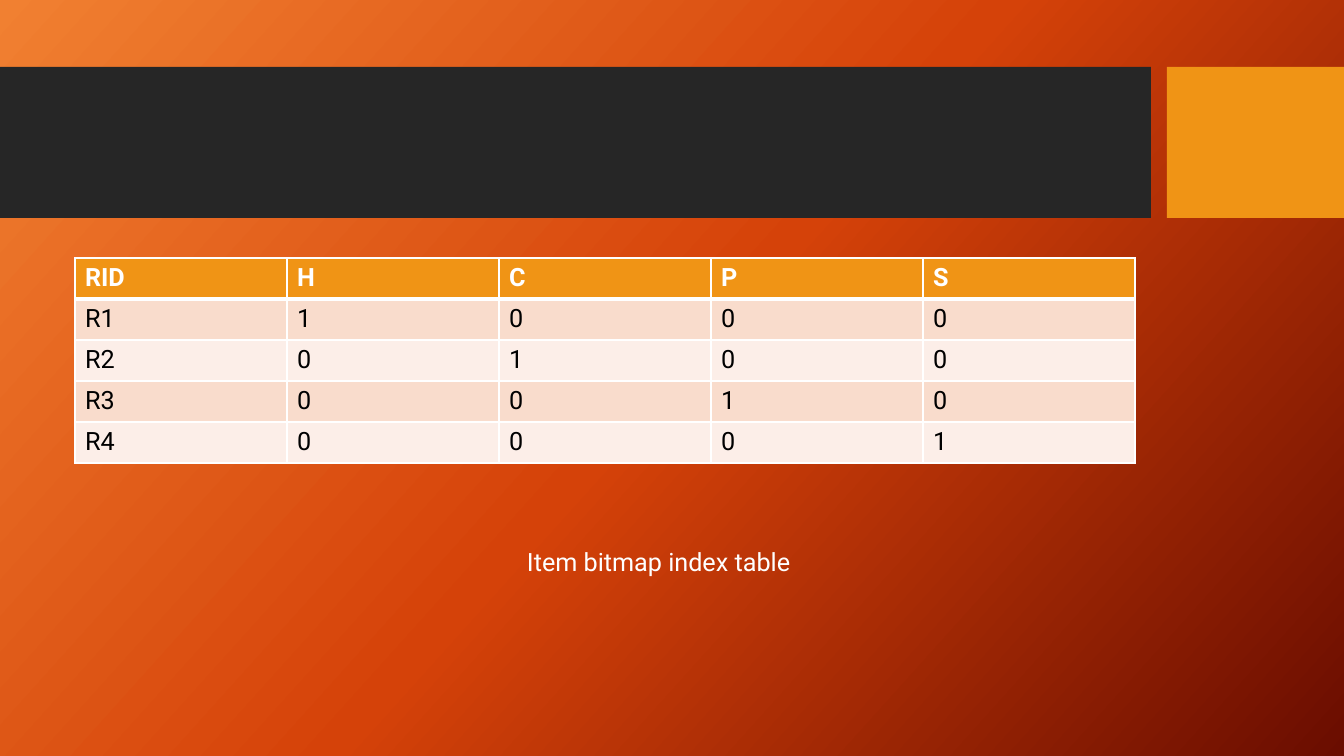
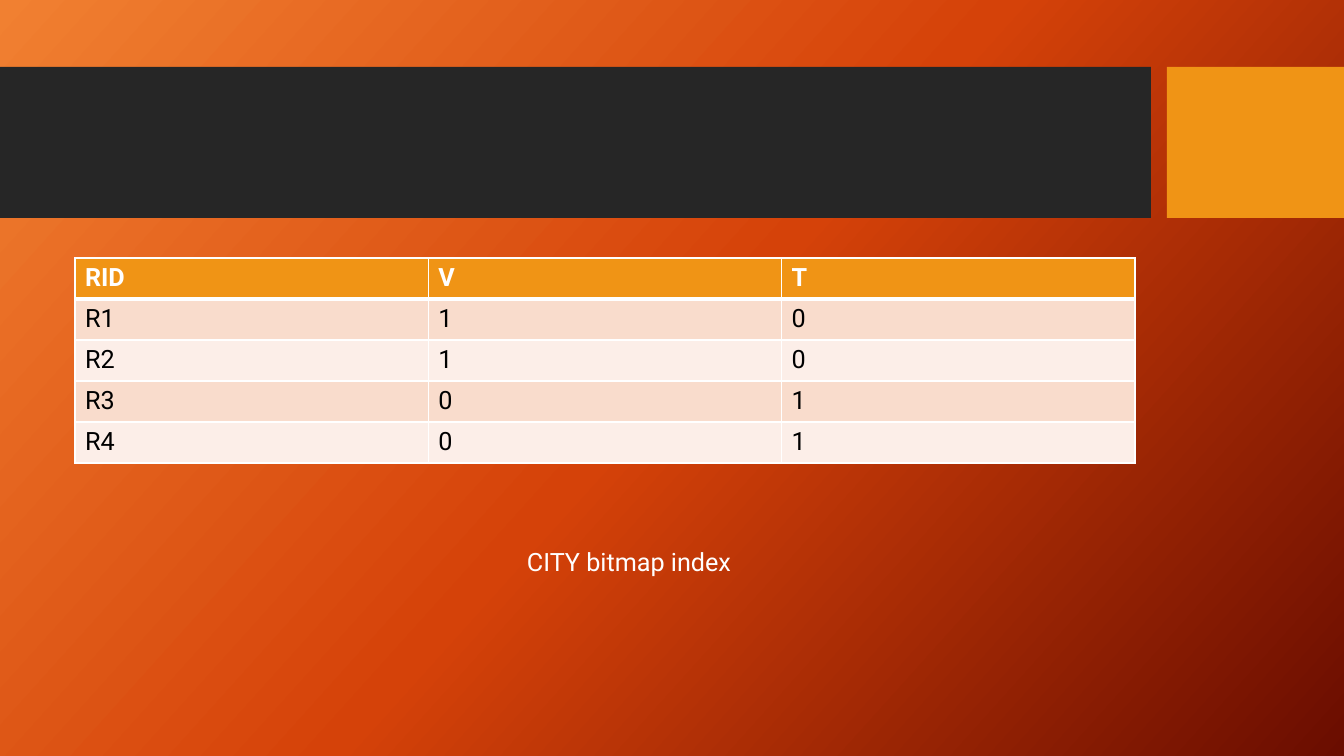
from copy import deepcopy

from lxml import etree
from pptx import Presentation
from pptx.dml.color import RGBColor
from pptx.enum.shapes import MSO_SHAPE
from pptx.enum.text import MSO_AUTO_SIZE
from pptx.oxml.ns import qn
from pptx.util import Emu, Pt

RECTANGLE = MSO_SHAPE.RECTANGLE
FIT_SHAPE = MSO_AUTO_SIZE.SHAPE_TO_FIT_TEXT

EMU_PER_PX = 914400 / 100.8
SLIDE_SIZE = (1344, 756)
BLANK_LAYOUT = 6

COLORS = {
    "glow": "F18031",
    "flame": "D54209",
    "ember": "6A0D00",
    "charcoal": "262626",
    "amber": "F09415",
    "peach": "F9DCCC",
    "blush": "FCEEE8",
    "white": "FFFFFF",
    "black": "000000",
}
BACKGROUND_STOPS = [(0, "glow"), (0.5, "flame"), (1, "ember")]
BACKGROUND_ANGLE = 42
BANDS = [((0, 67, 1151, 151), "charcoal"), ((1167, 67, 177, 151), "amber")]

TABLE_LEFT, TABLE_TOP, TABLE_WIDTH, ROW_HEIGHT = 75, 258, 1060, 41
CAPTION_LEFT, CAPTION_TOP, CAPTION_HEIGHT = 517, 541, 40
THIN, THICK = Pt(1), Pt(3)

TEXT_FORMAT = {"name": "Roboto", "size": Pt(18), "bold": False}
HEADER_FORMAT = {**TEXT_FORMAT, "bold": True}

SLIDES = [
    {
        "rows": ["RID H C P S", "R1 1 0 0 0", "R2 0 1 0 0", "R3 0 0 1 0", "R4 0 0 0 1"],
        "caption": "Item bitmap index table",
        "caption_width": 296,
    },
    {
        "rows": ["RID V T", "R1 1 0", "R2 1 0", "R3 0 1", "R4 0 1"],
        "caption": "CITY bitmap index",
        "caption_width": 237,
    },
]


def px(length):
    """Turn a length in px into EMU."""
    return Emu(round(length * EMU_PER_PX))


def rgb(color):
    """Look up a named colour."""
    return RGBColor.from_string(COLORS[color])


def write_text(text_frame, text, text_format, color):
    """Write one formatted run into a text frame."""
    run = text_frame.paragraphs[0].add_run()
    run.text = text
    for attribute, value in text_format.items():
        setattr(run.font, attribute, value)
    run.font.color.rgb = rgb(color)


def set_background(layout):
    """Give the layout its diagonal gradient."""
    fill = layout.background.fill
    fill.gradient()
    fill.gradient_angle = 360 - BACKGROUND_ANGLE
    stop_list = next(layout.element.iter(qn("a:gsLst")))
    stop_list.append(deepcopy(stop_list[0]))
    for stop, (position, color) in zip(fill.gradient_stops, BACKGROUND_STOPS):
        stop.position = position
        stop.color.rgb = rgb(color)


def add_band(slide, box, color):
    """Draw a plain filled band."""
    band = slide.shapes.add_shape(RECTANGLE, *map(px, box))
    band.shadow.inherit = False
    band.fill.solid()
    band.fill.fore_color.rgb = rgb(color)
    band.line.fill.background()
    return band


def style_layout(layout, slide):
    """Put the background and bands on the layout, drawing the bands by way of a slide."""
    for placeholder in list(layout.placeholders):
        layout.shapes.element.remove(placeholder.element)
    set_background(layout)
    for box, color in BANDS:
        layout.shapes.element.append(add_band(slide, box, color).element)


def set_borders(cell, widths):
    """Draw white cell borders from a dict of side and width."""
    properties = cell._tc.get_or_add_tcPr()
    for side, width in widths.items():
        line = etree.SubElement(properties, qn(f"a:ln{side}"), w=str(width))
        solid_fill = etree.SubElement(line, qn("a:solidFill"))
        etree.SubElement(solid_fill, qn("a:srgbClr"), val=COLORS["white"])


def format_cell(cell, text, row_index):
    """Fill one cell according to its row."""
    is_header = row_index == 0
    top = THICK if row_index == 1 else THIN
    bottom = THICK if is_header else THIN
    set_borders(cell, {"L": THIN, "R": THIN, "T": top, "B": bottom})
    band_color = "peach" if row_index % 2 else "blush"
    cell.fill.solid()
    cell.fill.fore_color.rgb = rgb("amber" if is_header else band_color)
    write_text(
        cell.text_frame,
        text,
        HEADER_FORMAT if is_header else TEXT_FORMAT,
        "white" if is_header else "black",
    )


def add_index_table(slide, rows):
    """Add a bitmap index table with equal columns."""
    values = [row.split() for row in rows]
    box = (TABLE_LEFT, TABLE_TOP, TABLE_WIDTH, ROW_HEIGHT * len(values))
    table = slide.shapes.add_table(len(values), len(values[0]), *map(px, box)).table
    for row_index, row in enumerate(values):
        for column_index, text in enumerate(row):
            format_cell(table.cell(row_index, column_index), text, row_index)


def add_caption(slide, text, width):
    """Add the caption below the table."""
    box = (CAPTION_LEFT, CAPTION_TOP, width, CAPTION_HEIGHT)
    text_frame = slide.shapes.add_textbox(*map(px, box)).text_frame
    text_frame.word_wrap = False
    text_frame.auto_size = FIT_SHAPE
    write_text(text_frame, text, TEXT_FORMAT, "white")


def main():
    """Build and save the presentation."""
    presentation = Presentation()
    presentation.slide_width, presentation.slide_height = map(px, SLIDE_SIZE)
    layout = presentation.slide_layouts[BLANK_LAYOUT]
    slides = [presentation.slides.add_slide(layout) for _ in SLIDES]
    style_layout(layout, slides[0])
    for slide, content in zip(slides, SLIDES):
        add_index_table(slide, content["rows"])
        add_caption(slide, content["caption"], content["caption_width"])
    presentation.save("out.pptx")


if __name__ == "__main__":
    main()
